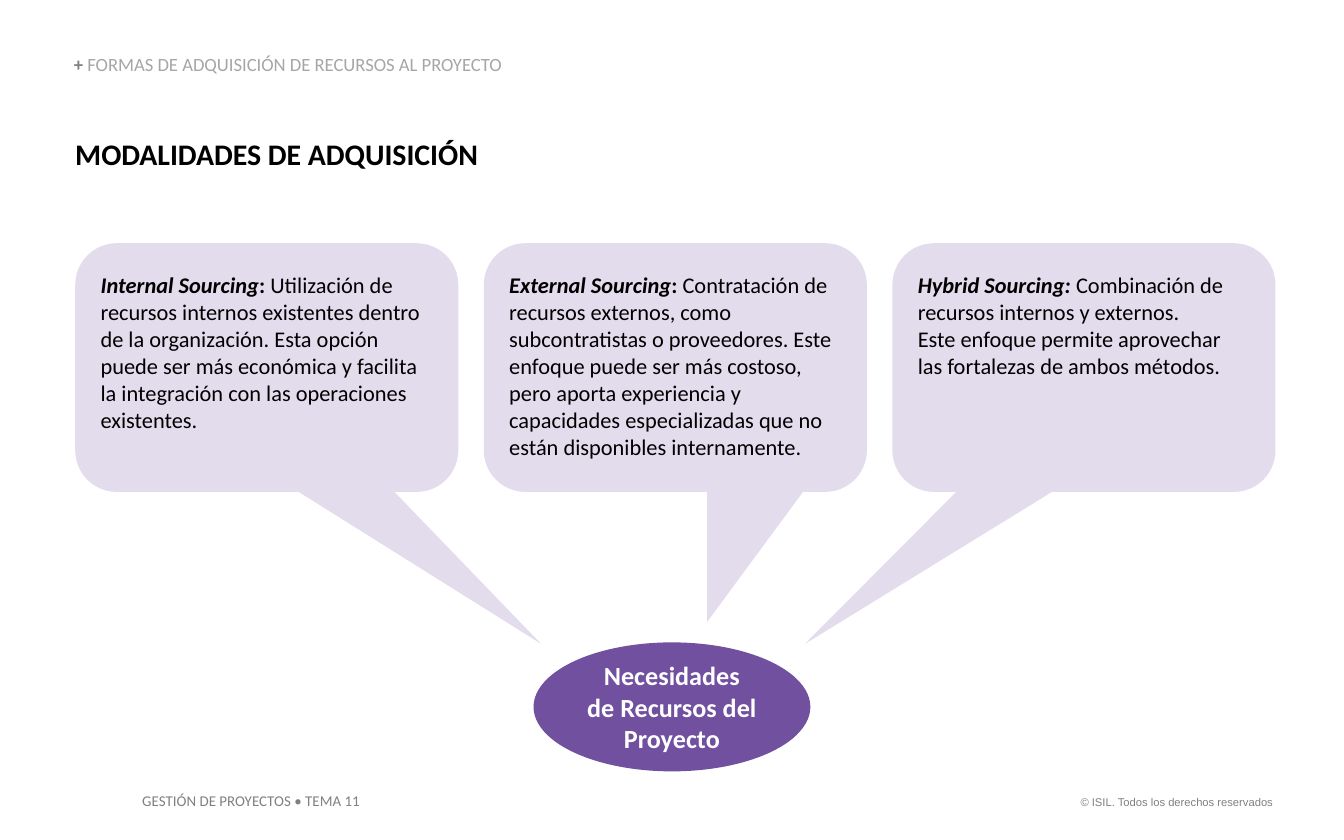
from pptx import Presentation
from pptx.dml.color import RGBColor
from pptx.enum.shapes import MSO_SHAPE as Shape
from pptx.enum.text import MSO_ANCHOR as Anchor, MSO_AUTO_SIZE as AutoSize, PP_ALIGN as Align
from pptx.util import Inches, Pt

WIDTH, HEIGHT = 10, 6.25
COLORS = {
    "ink": "000000",
    "muted": "808080",
    "pale": "A6A6A6",
    "lilac": "E3DCED",
    "purple": "7150A0",
    "white": "FFFFFF",
}
DEFAULT_INSETS = (0.1, 0.05, 0.1, 0.05)
NO_INSETS = (0, 0, 0, 0)
CARD_INSETS = (0.1, 0.12, 0.1, 0.05)
CARD_GAP = 0.19
CARD_ROUNDING = 0.167

MODES = [
    (
        (0.716, 1.111),
        [[
            ("Internal Sourcing", True, True),
            (":", True, False),
            (" Utilización de recursos internos existentes dentro de la organización. "
             "Esta opción puede ser más económica y facilita la integración con las "
             "operaciones existentes.", False, False),
        ]],
    ),
    (
        (0.083, 1.023),
        [[
            ("External Sourcing", True, True),
            (":", True, False),
            (" Contratación de recursos externos, como subcontratistas o proveedores. "
             "Este enfoque puede ser más costoso, pero aporta experiencia y capacidades "
             "especializadas que no están disponibles internamente.", False, False),
        ]],
    ),
    (
        (-0.729, 1.112),
        [
            [
                ("Hybrid Sourcing: ", True, True),
                ("Combinación de recursos internos y externos.", False, False),
            ],
            [("Este enfoque permite aprovechar las fortalezas de ambos métodos.", False, False)],
        ],
    ),
]


def color(name):
    return RGBColor.from_string(COLORS[name])


def inches(box):
    return [Inches(length) for length in box]


def add_span(para, text, size, tint, bold=False, italic=False, face="Calibri"):
    span = para.add_run()
    span.text = text
    font = span.font
    font.name, font.size, font.bold, font.italic = face, Pt(size), bold, italic
    font.color.rgb = color(tint)


def set_frame(shape, insets, anchor=Anchor.TOP, wrap=True):
    frame = shape.text_frame
    frame.auto_size = AutoSize.NONE
    frame.word_wrap = wrap
    frame.vertical_anchor = anchor
    (frame.margin_left, frame.margin_top,
     frame.margin_right, frame.margin_bottom) = inches(insets)
    return frame


def add_paras(frame, count, align):
    paras = [frame.paragraphs[0]] + [frame.add_paragraph() for _ in range(count - 1)]
    for para in paras:
        para.alignment = align
    return paras


def add_filled(page, kind, box, fill):
    shape = page.shapes.add_shape(kind, *inches(box))
    shape.shadow.inherit = False
    shape.fill.solid()
    shape.fill.fore_color.rgb = color(fill)
    shape.line.fill.background()
    return shape


def place_title(page, box):
    title = page.shapes.title
    title.left, title.top, title.width, title.height = inches(box)
    para, = add_paras(set_frame(title, NO_INSETS), 1, Align.LEFT)
    add_span(para, "MODALIDADES DE ADQUISICIÓN", 16, "ink", bold=True)


def place_section(page, box):
    label = page.shapes.add_textbox(*inches(box))
    para, = add_paras(set_frame(label, NO_INSETS, Anchor.BOTTOM), 1, Align.LEFT)
    para.line_spacing = 0.9
    add_span(para, "+ ", 10, "muted", bold=True)
    add_span(para, "FORMAS DE ADQUISICIÓN DE RECURSOS AL PROYECTO", 10, "pale")


def place_footer(page, box, text, size, face, align):
    label = page.shapes.add_textbox(*inches(box))
    para, = add_paras(set_frame(label, DEFAULT_INSETS, wrap=False), 1, align)
    add_span(para, text, size, "muted", face=face)


def place_modes(page, box):
    left, top, width, height = box
    card_width = (width - CARD_GAP * (len(MODES) - 1)) / len(MODES)
    for column, (tip, texts) in enumerate(MODES):
        card_left = left + column * (card_width + CARD_GAP)
        card = add_filled(page, Shape.ROUNDED_RECTANGULAR_CALLOUT,
                          (card_left, top, card_width, height), "lilac")
        for index, value in enumerate((*tip, CARD_ROUNDING)):
            card.adjustments[index] = value
        paras = add_paras(set_frame(card, CARD_INSETS), len(texts), Align.LEFT)
        for para, spans in zip(paras, texts):
            for text, bold, italic in spans:
                add_span(para, text, 12, "ink", bold, italic)


def place_needs(page, box):
    oval = add_filled(page, Shape.OVAL, box, "purple")
    lines = ["Necesidades", "de Recursos del Proyecto"]
    paras = add_paras(set_frame(oval, NO_INSETS, Anchor.MIDDLE), len(lines), Align.CENTER)
    for para, text in zip(paras, lines):
        add_span(para, text, 14, "white", bold=True)


def main():
    deck = Presentation()
    deck.slide_width, deck.slide_height = Inches(WIDTH), Inches(HEIGHT)
    page = deck.slides.add_slide(deck.slide_layouts[5])
    margin = 0.056 * WIDTH
    oval_width = 2.06
    place_footer(page, (7.91, 5.87, 1.66, 0.2),
                 "© ISIL. Todos los derechos reservados", 6, "Arial", Align.RIGHT)
    place_footer(page, (0.96, 5.84, 1.87, 0.24),
                 "GESTIÓN DE PROYECTOS • TEMA 11", 8, "Calibri", Align.LEFT)
    place_title(page, (margin, 1.01, 5.74, 0.27))
    place_section(page, (0.55, 0.41, 3.35, 0.15))
    place_modes(page, (margin, 1.81, 8.93, 1.85))
    place_needs(page, ((WIDTH - oval_width) / 2, 4.78, oval_width, 0.96))
    deck.save("out.pptx")


if __name__ == "__main__":
    main()
